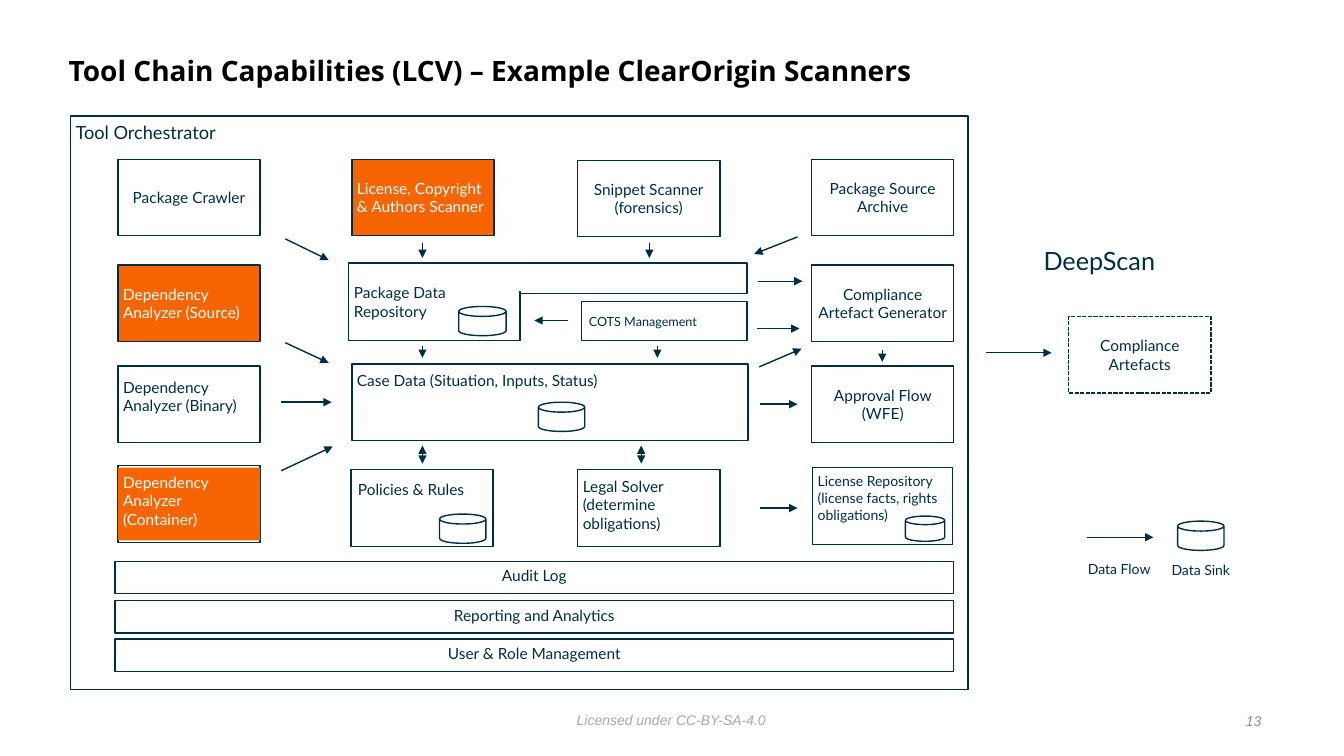
"""Build the tool chain capabilities slide."""
from dataclasses import dataclass
from typing import Optional

import pptx
import pptx.dml.color
import pptx.enum.dml
import pptx.enum.shapes
import pptx.enum.text
import pptx.oxml
import pptx.oxml.ns
import pptx.util
from pptx.shapes.autoshape import Shape
from pptx.slide import Slide
from pptx.text.text import TextFrame

EMU_PER_PX = 9144
COLORS = {
    "white": "FFFFFF",
    "navy": "002D41",
    "orange": "F76503",
    "black": "000000",
    "footer": "A7A7A7",
    "number": "888C91",
}
ALIGN = pptx.enum.text.PP_ALIGN
ANCHOR = pptx.enum.text.MSO_ANCHOR
PRESET = pptx.enum.shapes.MSO_SHAPE
CRAWLERS, LICENSES, SNIPPETS, OUTPUTS = 117, 349, 573, 805
BAR_LEFT, BAR_TOP, BAR_STEP = 114, 557, 38.5


@dataclass(frozen=True)
class Box:
    text: str
    left: int
    top: int
    width: int = 141
    height: int = 76
    fill: str = "white"
    outline: Optional[str] = "navy"
    dashed: bool = False
    centered: bool = False
    anchor: ANCHOR = ANCHOR.MIDDLE
    size: int = 11
    inset_left: int = 5
    inset_top: int = 5


@dataclass(frozen=True)
class Label:
    text: str
    left: int
    top: int
    width: int
    height: int
    size: int
    font: str = "Lato"
    color: str = "navy"
    bold: bool = False
    italic: bool = False
    align: ALIGN = ALIGN.LEFT
    anchor: ANCHOR = ANCHOR.TOP
    wrap: bool = False
    spacing: float = 1.0


@dataclass(frozen=True)
class Arrow:
    x1: int
    y1: int
    x2: int
    y2: int
    both_ways: bool = False


@dataclass(frozen=True)
class DataSink:
    left: int
    top: int
    width: int = 46
    height: int = 29


BOXES = [
    Box("Tool Orchestrator", 70, 115, 890, 569, anchor=ANCHOR.TOP, size=13),
    Box("Package Crawler", CRAWLERS, 158, centered=True),
    Box("License, Copyright & Authors Scanner", LICENSES, 158, fill="orange"),
    Box("Snippet Scanner\n(forensics)", SNIPPETS, 159, centered=True),
    Box("Package Source Archive", OUTPUTS, 158, centered=True),
    Box("Dependency Analyzer (Source)", CRAWLERS, 263, fill="orange"),
    Box("Dependency Analyzer (Binary)", CRAWLERS, 363, anchor=ANCHOR.TOP, inset_top=12),
    Box("", CRAWLERS, 462),
    Box("Dependency Analyzer (Container)", CRAWLERS, 464, height=72, fill="orange",
        outline=None, anchor=ANCHOR.TOP),
    Box("Case Data (Situation, Inputs, Status)", LICENSES, 361, 393,
        anchor=ANCHOR.TOP, inset_top=7),
    Box("Policies & Rules", 348, 466, anchor=ANCHOR.TOP, inset_left=7, inset_top=10),
    Box("Legal Solver (determine obligations)", SNIPPETS, 466, anchor=ANCHOR.TOP, inset_top=7),
    Box("Compliance Artefact Generator", OUTPUTS, 263, centered=True),
    Box("Approval Flow (WFE)", OUTPUTS, 363, centered=True),
    Box("License Repository (license facts, rights obligations)", 806, 464, 139,
        anchor=ANCHOR.TOP, size=10),
    Box("Compliance Artefacts", 1060, 314, dashed=True, centered=True),
    Box("COTS Management", 577, 299, 164, 39, size=9, inset_left=7),
    Box("Package Data Repository", 346, 261, 170, 77),
    Box("", 516, 261, 225, 30),
    Box("", 504, 262, 19, 27, outline=None),
] + [
    Box(text, BAR_LEFT, round(BAR_TOP + row * BAR_STEP), 832, 32, centered=True,
        anchor=ANCHOR.TOP)
    for row, text in enumerate(
        ["Audit Log", "Reporting and Analytics", "User & Role Management"])
]

LABELS = [
    Label("Tool Chain Capabilities (LCV) – Example ClearOrigin Scanners", 63, 39, 1075, 65,
          20, "Open Sans", "black", bold=True, anchor=ANCHOR.MIDDLE, wrap=True, spacing=0.9),
    Label("DeepScan", 1030, 238, 126, 40, 18),
    Label("Data Flow", 1074, 551, 74, 29, 10),
    Label("Data Sink", 1157, 552, 70, 29, 10),
    Label("Licensed under CC-BY-SA-4.0", 567, 701, 199, 25, 10, "Arial", "footer", italic=True),
    Label("13", 1216, 703, 40, 25, 10, "Arial", "number", italic=True,
          align=ALIGN.RIGHT, anchor=ANCHOR.MIDDLE, wrap=True),
]

ARROWS = [
    Arrow(283, 237, 326, 258),
    Arrow(283, 340, 326, 360),
    Arrow(279, 399, 329, 399),
    Arrow(279, 467, 330, 443),
    Arrow(419, 241, 419, 256),
    Arrow(644, 241, 644, 256),
    Arrow(419, 343, 419, 355),
    Arrow(652, 343, 652, 355),
    Arrow(419, 460, 419, 442, both_ways=True),
    Arrow(636, 460, 636, 442, both_ways=True),
    Arrow(563, 318, 530, 318),
    Arrow(791, 235, 748, 252),
    Arrow(752, 279, 796, 279),
    Arrow(751, 326, 793, 326),
    Arrow(753, 364, 795, 346),
    Arrow(754, 401, 791, 401),
    Arrow(754, 504, 791, 504),
    Arrow(875, 347, 875, 359),
    Arrow(978, 350, 1043, 350),
    Arrow(1078, 533, 1144, 533),
]

SINKS = [
    DataSink(455, 304, 47),
    DataSink(534, 399),
    DataSink(436, 510),
    DataSink(898, 512, 39, 25),
    DataSink(1168, 517),
]


def px(*lengths: int) -> list[int]:
    return [length * EMU_PER_PX for length in lengths]


def rgb(name: str) -> pptx.dml.color.RGBColor:
    return pptx.dml.color.RGBColor.from_string(COLORS[name])


def write_text(frame: TextFrame, text: str, *, size: int, color: str = "navy",
               font: str = "Lato", bold: bool = False, italic: bool = False,
               align: ALIGN = ALIGN.LEFT, anchor: ANCHOR = ANCHOR.TOP, wrap: bool = True,
               spacing: float = 1.0, inset_left: int = 5, inset_top: int = 5) -> None:
    frame.margin_left, frame.margin_top, frame.margin_right, frame.margin_bottom = px(
        inset_left, inset_top, 5, 5)
    frame.word_wrap = wrap
    frame.vertical_anchor = anchor
    paragraph = frame.paragraphs[0]
    paragraph.text = text
    paragraph.alignment = align
    paragraph.line_spacing = spacing
    for run in paragraph.runs:
        run.font.name, run.font.size = font, pptx.util.Pt(size)
        run.font.bold, run.font.italic = bold, italic
        run.font.color.rgb = rgb(color)


def draw_shape(slide: Slide, preset: PRESET, item: Box | DataSink,
               fill: str = "white", outline: Optional[str] = "navy") -> Shape:
    shape = slide.shapes.add_shape(
        preset, *px(item.left, item.top, item.width, item.height))
    shape.shadow.inherit = False
    shape.fill.solid()
    shape.fill.fore_color.rgb = rgb(fill)
    if outline:
        shape.line.color.rgb = rgb(outline)
        shape.line.width = pptx.util.Pt(1)
    else:
        shape.line.fill.background()
    return shape


def draw_box(slide: Slide, box: Box) -> None:
    shape = draw_shape(slide, PRESET.RECTANGLE, box, box.fill, box.outline)
    if box.dashed:
        shape.line.dash_style = pptx.enum.dml.MSO_LINE.SQUARE_DOT
    if box.text:
        write_text(shape.text_frame, box.text, size=box.size, anchor=box.anchor,
                   color="white" if box.fill == "orange" else "navy",
                   align=ALIGN.CENTER if box.centered else ALIGN.LEFT,
                   inset_left=box.inset_left, inset_top=box.inset_top)


def draw_label(slide: Slide, label: Label) -> None:
    shape = slide.shapes.add_textbox(*px(label.left, label.top, label.width, label.height))
    write_text(shape.text_frame, label.text, size=label.size, color=label.color,
               font=label.font, bold=label.bold, italic=label.italic, align=label.align,
               anchor=label.anchor, wrap=label.wrap, spacing=label.spacing)


def draw_arrow(slide: Slide, arrow: Arrow) -> None:
    connector = slide.shapes.add_connector(
        pptx.enum.shapes.MSO_CONNECTOR.STRAIGHT, *px(arrow.x1, arrow.y1, arrow.x2, arrow.y2))
    connector.line.color.rgb = rgb("navy")
    connector.line.width = pptx.util.Pt(1)
    line = connector.line._get_or_add_ln()
    for end in ["headEnd", "tailEnd"] if arrow.both_ways else ["tailEnd"]:
        tip = pptx.oxml.parse_xml(f'<a:{end} {pptx.oxml.ns.nsdecls("a")} type="triangle"/>')
        line.append(tip)
    effects = pptx.oxml.parse_xml(f'<a:effectLst {pptx.oxml.ns.nsdecls("a")}/>')
    line.addnext(effects)


def main() -> None:
    presentation = pptx.Presentation()
    presentation.slide_width, presentation.slide_height = px(1333, 750)
    slide = presentation.slides.add_slide(presentation.slide_layouts[6])
    for box in BOXES:
        draw_box(slide, box)
    for arrow in ARROWS:
        draw_arrow(slide, arrow)
    for sink in SINKS:
        can = draw_shape(slide, PRESET.CAN, sink)
        can.adjustments[0] = 0.34
    for label in LABELS:
        draw_label(slide, label)
    presentation.save("out.pptx")


if __name__ == "__main__":
    main()
